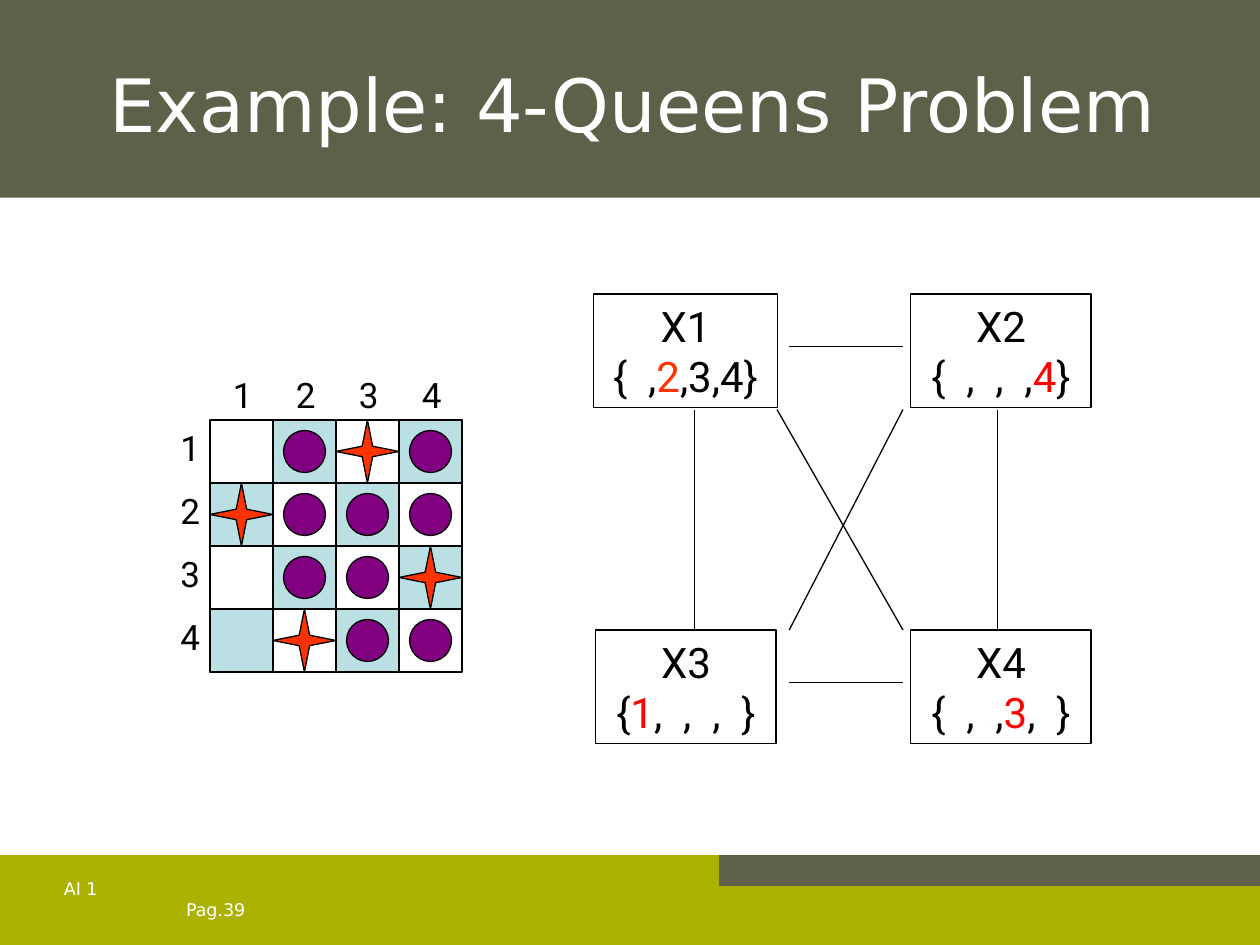
from lxml import etree
from pptx import Presentation
from pptx.dml.color import RGBColor
from pptx.enum.shapes import MSO_CONNECTOR, MSO_SHAPE
from pptx.enum.text import MSO_ANCHOR, MSO_AUTO_SIZE, PP_ALIGN
from pptx.oxml.ns import qn
from pptx.util import Pt

RECT, OVAL = MSO_SHAPE.RECTANGLE, MSO_SHAPE.OVAL
LEFT, CENTER, RIGHT = PP_ALIGN.LEFT, PP_ALIGN.CENTER, PP_ALIGN.RIGHT
TOP, BOTTOM = MSO_ANCHOR.TOP, MSO_ANCHOR.BOTTOM

COLORS = {"olive": "5F604A", "lime": "ABB202", "white": "FFFFFF", "black": "000000",
          "shade": "BBE0E3", "queen": "FF3300", "attacked": "800080", "red": "FF0000"}
SANS, ROBOTO = "DejaVu Sans", "Roboto"

TITLE = "Example: 4-Queens Problem"
BARS = [((0, 489, 720, 51), "lime"), ((411, 489, 309, 17), "olive")]
FOOTERS = [
    ("AI 1", (36.5, 497, 209.5, 17), LEFT, BOTTOM),
    ("Pag.", (99.5, 513.5, 28, 12), RIGHT, TOP),
    ("39", (127.5, 514, 24, 16.5), LEFT, TOP),
]

# Q is a queen, o an attacked square, . a free square
BOARD = [".oQo",
         "Qooo",
         ".ooQ",
         ".Qoo"]
BOARD_LEFT, BOARD_TOP, CELL = 120, 240, 36
DISC = 24
STAR_INNER = 3

# name, frame, domain as (text, colour) runs
VARIABLES = [
    ("X1", (339, 168, 105.5, 65), [("{  ,", "black"), ("2", "queen"), (",3,4}", "black")]),
    ("X3", (340.5, 360, 103, 65), [("{", "black"), ("1", "red"), (",  ,  ,  }", "black")]),
    ("X4", (520.5, 360, 103, 65), [("{  ,  ,", "black"), ("3", "red"), (",  }", "black")]),
    ("X2", (520.5, 168, 103, 65), [("{  ,  ,  ,", "black"), ("4", "red"), ("}", "black")]),
]
CONSTRAINTS = [
    (451, 198, 516, 198), (397, 234, 397, 360), (451, 390, 516, 390),
    (570, 234, 570, 360), (444, 234, 516, 360), (516, 234, 451, 360),
]


def rgb(name):
    return RGBColor.from_string(COLORS[name])


def style(shape, fill, line="black"):
    shape.shadow.inherit = False
    if fill:
        shape.fill.solid()
        shape.fill.fore_color.rgb = rgb(fill)
    else:
        shape.fill.background()
    shape.line.color.rgb = rgb(line)
    shape.line.width = Pt(0.75)


def add_block(shapes, kind, frame, fill, line="black"):
    block = shapes.add_shape(kind, *map(Pt, frame))
    style(block, fill, line)
    return block


def write(shape, paragraphs, font, size, align=LEFT, anchor=TOP, insets=(0, 0, 0, 0), wrap=True):
    """Fill a shape with paragraphs, each a list of (text, colour) runs."""
    frame = shape.text_frame
    left, top, right, bottom = map(Pt, insets)
    settings = {"margin_left": left, "margin_top": top, "margin_right": right,
                "margin_bottom": bottom, "word_wrap": wrap,
                "vertical_anchor": anchor, "auto_size": MSO_AUTO_SIZE.NONE}
    for name, value in settings.items():
        setattr(frame, name, value)
    for index, runs in enumerate(paragraphs):
        paragraph = frame.add_paragraph() if index else frame.paragraphs[0]
        paragraph.alignment = align
        for text, color in runs:
            run = paragraph.add_run()
            run.text = text
            run.font.name, run.font.size = font, Pt(size)
            run.font.color.rgb = rgb(color)


def add_label(shapes, text, left, top):
    label = shapes.add_textbox(Pt(left), Pt(top), Pt(26), Pt(31.5))
    write(label, [[(text, "black")]], ROBOTO, 20, insets=(7.2, 3.6, 7.2, 3.6), wrap=False)


def add_queen(shapes, left, top):
    """Draw a four-pointed star that fills one square."""
    middle = CELL / 2
    near, far = middle - STAR_INNER, middle + STAR_INNER
    outline = [(0, middle), (near, near), (middle, 0), (far, near),
               (CELL, middle), (far, far), (middle, CELL), (near, far)]
    points = [(left + x, top + y) for x, y in outline]
    builder = shapes.build_freeform(*points[0], scale=Pt(1))
    builder.add_line_segments(points[1:], close=True)
    style(builder.convert_to_shape(), "queen")


def add_board(shapes):
    side = CELL * len(BOARD)
    add_block(shapes, RECT, (BOARD_LEFT, BOARD_TOP, side, side), None)
    squares = [(row, col, BOARD_LEFT + col * CELL, BOARD_TOP + row * CELL)
               for row in range(len(BOARD)) for col in range(len(BOARD))]
    for row, col, left, top in squares:
        if (row + col) % 2:
            add_block(shapes, RECT, (left, top, CELL, CELL), "shade")
    for index in range(len(BOARD)):
        add_label(shapes, str(index + 1), BOARD_LEFT - 24, BOARD_TOP + index * CELL)
        add_label(shapes, str(index + 1), BOARD_LEFT + 6 + index * CELL, BOARD_TOP - 30)
    gap = (CELL - DISC) / 2
    for row, col, left, top in squares:
        if BOARD[row][col] == "Q":
            add_queen(shapes, left, top)
        elif BOARD[row][col] == "o":
            add_block(shapes, OVAL, (left + gap, top + gap, DISC, DISC), "attacked")


def add_constraint_graph(shapes):
    for name, frame, domain in VARIABLES:
        node = add_block(shapes, RECT, frame, None)
        write(node, [[(name, "black")], domain], ROBOTO, 24, CENTER,
              insets=(7.2, 3.6, 7.2, 3.6), wrap=False)
    for ends in CONSTRAINTS:
        edge = shapes.add_connector(MSO_CONNECTOR.STRAIGHT, *map(Pt, ends))
        edge.line.color.rgb = rgb("black")
        edge.line.width = Pt(0.75)
        etree.SubElement(edge._element.spPr, qn("a:effectLst"))


def main():
    deck = Presentation()
    deck.slide_width, deck.slide_height = Pt(720), Pt(540)
    slide = deck.slides.add_slide(deck.slide_layouts[5])
    shapes = slide.shapes

    title = shapes.title
    title.left, title.top, title.width, title.height = map(Pt, (0, 0, 720, 113))
    title.fill.solid()
    title.fill.fore_color.rgb = rgb("olive")
    write(title, [[(TITLE, "white")]], SANS, 42, insets=(62.5, 34, 0, 0))

    for frame, color in BARS:
        add_block(shapes, RECT, frame, color, color)
    add_board(shapes)
    add_constraint_graph(shapes)
    for text, frame, align, anchor in FOOTERS:
        footer = shapes.add_textbox(*map(Pt, frame))
        write(footer, [[(text, "white")]], SANS, 10, align, anchor)

    deck.save("out.pptx")


if __name__ == "__main__":
    main()
